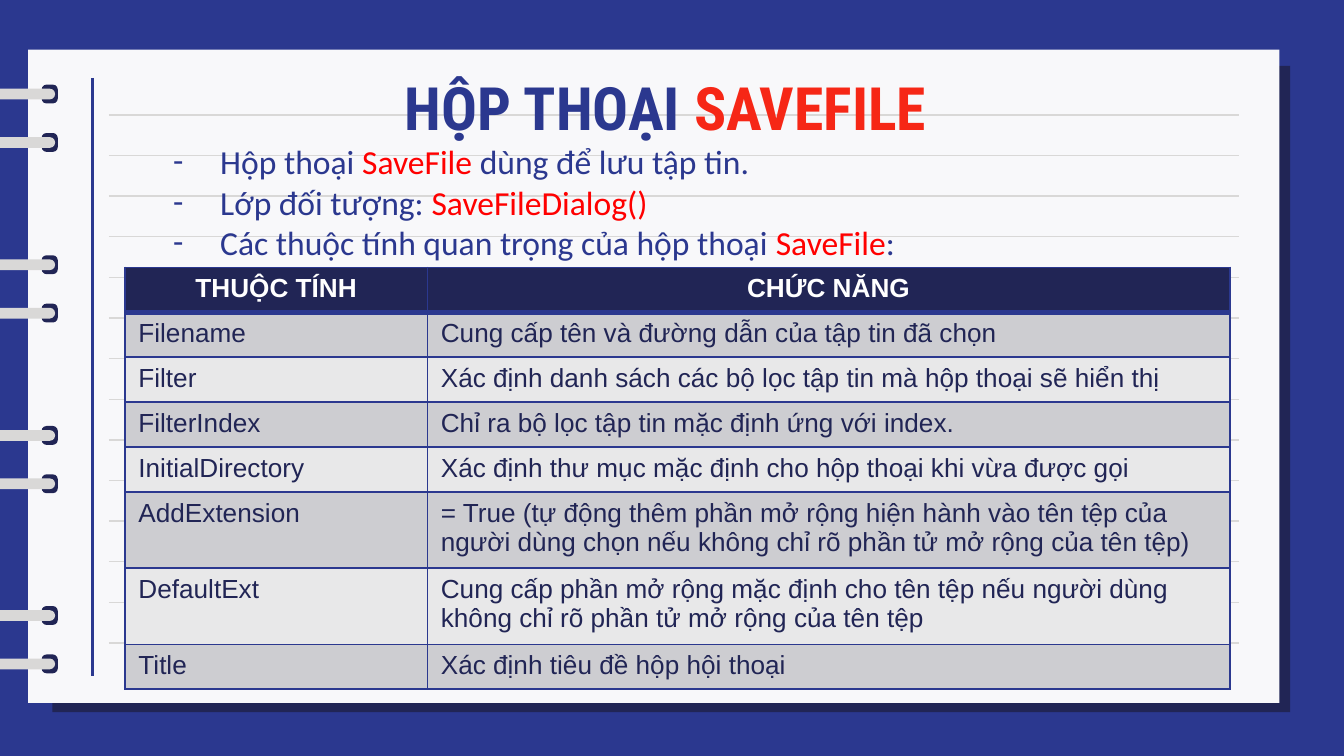
from dataclasses import dataclass

from lxml import etree
from pptx import Presentation
from pptx.dml.color import RGBColor
from pptx.enum.shapes import MSO_CONNECTOR, MSO_SHAPE
from pptx.enum.text import MSO_ANCHOR, PP_ALIGN
from pptx.oxml.ns import qn
from pptx.util import Inches, Pt

RECTANGLE, ROUNDED = MSO_SHAPE.RECTANGLE, MSO_SHAPE.ROUNDED_RECTANGLE
STRAIGHT = MSO_CONNECTOR.STRAIGHT
MIDDLE = MSO_ANCHOR.MIDDLE
LEFT, CENTER, JUSTIFY = PP_ALIGN.LEFT, PP_ALIGN.CENTER, PP_ALIGN.JUSTIFY


@dataclass(frozen=True)
class Theme:
    blue: str = "2B388F"
    navy: str = "212555"
    paper: str = "F8F8FA"
    gray: str = "D9D8D7"
    orange: str = "F62716"
    red: str = "FF0000"
    white: str = "FFFFFF"
    bands: tuple = ("CDCDD1", "E8E8E9")
    title_size: int = 32
    body_size: int = 18
    table_size: int = 14
    title_font: str = "Roboto Condensed"
    body_font: str = "Calibri"
    table_font: str = "Arial"


theme = Theme()


def add_text(para, text, *, size, font, color, bold=False, align=LEFT):
    para.alignment = align
    span = para.add_run()
    span.text = text
    span.font.size = Pt(size)
    span.font.name = font
    span.font.bold = bold
    span.font.color.rgb = RGBColor.from_string(color)


def add_block(kind, left, top, width, height, color, rounding=0):
    block = page.shapes.add_shape(kind, Inches(left), Inches(top), Inches(width), Inches(height))
    block.shadow.inherit = False
    block.fill.solid()
    block.fill.fore_color.rgb = RGBColor.from_string(color)
    block.line.fill.background()
    if rounding:
        block.adjustments[0] = rounding


deck = Presentation()
deck.slide_width, deck.slide_height = Inches(10), Inches(5.625)
page = deck.slides.add_slide(deck.slide_layouts[6])
page.background.fill.solid()
page.background.fill.fore_color.rgb = RGBColor.from_string(theme.blue)

add_block(RECTANGLE, 0.39, 0.49, 9.21, 4.81, theme.navy)
add_block(RECTANGLE, 0.21, 0.37, 9.31, 4.86, theme.paper)

ring_gap = 0.36
for pair_center in (0.7, 1.97, 3.24, 4.58):
    for center in (pair_center, pair_center + ring_gap):
        add_block(ROUNDED, 0.31, center - 0.07, 0.12, 0.14, theme.navy, 0.3)
        add_block(ROUNDED, -0.11, center - 0.04, 0.52, 0.08, theme.gray, 0.5)

first_rule, rule_gap, rule_count = 0.855, 0.3023, 14
rules = [(0.81, first_rule + index * rule_gap, 9.22, first_rule + index * rule_gap, theme.gray, 0.75)
         for index in range(rule_count)]
margin_rule = (0.69, 0.58, 0.69, 5.03, theme.blue, 1.5)
for left, top, right, bottom, color, weight in rules + [margin_rule]:
    rule = page.shapes.add_connector(STRAIGHT, Inches(left), Inches(top), Inches(right), Inches(bottom))
    rule.line.color.rgb = RGBColor.from_string(color)
    rule.line.width = Pt(weight)
    etree.SubElement(rule._element.spPr, qn("a:effectLst"))

title_format = dict(size=theme.title_size, font=theme.title_font, bold=True, align=CENTER)
body_format = dict(size=theme.body_size, font=theme.body_font, align=JUSTIFY)
title = [[("HỘP THOẠI ", theme.blue), ("SAVEFILE ", theme.orange)]]
points = [
    [("Hộp thoại ", theme.blue), ("SaveFile ", theme.red), ("dùng để lưu tập tin.", theme.blue)],
    [("Lớp đối tượng: ", theme.blue), ("SaveFileDialog()", theme.red)],
    [("Các thuộc tính quan trọng của hộp thoại ", theme.blue), ("SaveFile", theme.red), (":", theme.blue)],
]
text_boxes = [
    ((0.79, 0.48, 8.43, 0.63), title, title_format, False),
    ((1.04, 1.11, 7.92, 0.78), points, body_format, True),
]
for place, lines, style, bulleted in text_boxes:
    box = page.shapes.add_textbox(*map(Inches, place))
    frame = box.text_frame
    frame.word_wrap = True
    frame.vertical_anchor = MIDDLE
    frame.margin_left = frame.margin_right = frame.margin_top = frame.margin_bottom = Inches(0.1)
    for index, line in enumerate(lines):
        para = frame.add_paragraph() if index else frame.paragraphs[0]
        for text, color in line:
            add_text(para, text, color=color, **style)
        if bulleted:
            properties = para._p.get_or_add_pPr()
            properties.set("marL", str(Inches(0.5)))
            properties.set("indent", str(Inches(-0.35)))
            bullet_color = etree.SubElement(properties, qn("a:buClr"))
            etree.SubElement(bullet_color, qn("a:srgbClr"), val=theme.blue)
            etree.SubElement(properties, qn("a:buFont"), typeface=theme.body_font)
            etree.SubElement(properties, qn("a:buChar"), char="-")

rows = [
    ("THUỘC TÍNH", "CHỨC NĂNG"),
    ("Filename", "Cung cấp tên và đường dẫn của tập tin đã chọn"),
    ("Filter", "Xác định danh sách các bộ lọc tập tin mà hộp thoại sẽ hiển thị"),
    ("FilterIndex", "Chỉ ra bộ lọc tập tin mặc định ứng với index."),
    ("InitialDirectory", "Xác định thư mục mặc định cho hộp thoại khi vừa được gọi"),
    ("AddExtension", "= True (tự động thêm phần mở rộng hiện hành vào tên tệp của "
                     "người dùng chọn nếu không chỉ rõ phần tử mở rộng của tên tệp)"),
    ("DefaultExt", "Cung cấp phần mở rộng mặc định cho tên tệp nếu người dùng "
                   "không chỉ rõ phần tử mở rộng của tên tệp"),
    ("Title", "Xác định tiêu đề hộp hội thoại"),
]
column_widths = (2.25, 5.97)
row_heights = [0.53 if name in ("AddExtension", "DefaultExt") else 0.33 for name, _ in rows]
table = page.shapes.add_table(len(rows), len(column_widths), Inches(0.93), Inches(1.99),
                              Inches(sum(column_widths)), Inches(sum(row_heights))).table
table.first_row = table.horz_banding = False
for column, width in zip(table.columns, column_widths):
    column.width = Inches(width)
for row_index, (row, height) in enumerate(zip(rows, row_heights)):
    table.rows[row_index].height = Inches(height)
    header = row_index == 0
    fill = theme.navy if header else theme.bands[(row_index - 1) % 2]
    edges = {"lnL": 1, "lnR": 1, "lnT": 3 if row_index == 1 else 1, "lnB": 3 if header else 1}
    for column_index, text in enumerate(row):
        cell = table.cell(row_index, column_index)
        properties = cell._tc.get_or_add_tcPr()
        for edge, weight in edges.items():
            border = etree.SubElement(properties, qn(f"a:{edge}"), w=str(Pt(weight)))
            border_fill = etree.SubElement(border, qn("a:solidFill"))
            etree.SubElement(border_fill, qn("a:srgbClr"), val=theme.blue)
        cell.fill.solid()
        cell.fill.fore_color.rgb = RGBColor.from_string(fill)
        add_text(cell.text_frame.paragraphs[0], text, size=theme.table_size, font=theme.table_font,
                 color=theme.white if header else theme.navy, bold=header,
                 align=CENTER if header else LEFT)

deck.save("out.pptx")
